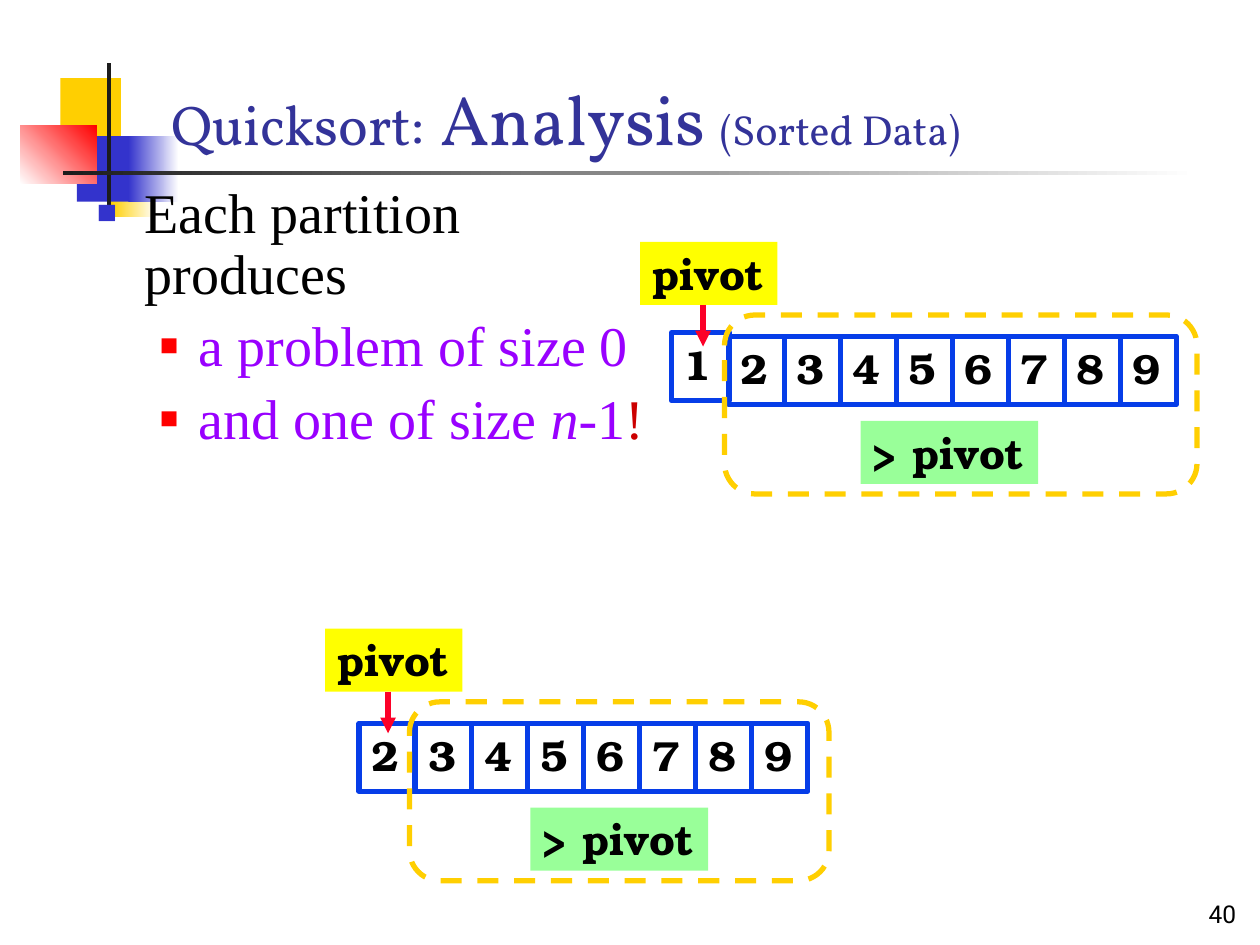
from lxml import etree
from pptx import Presentation
from pptx.dml.color import RGBColor
from pptx.enum.dml import MSO_LINE_DASH_STYLE as Dash
from pptx.enum.shapes import MSO_CONNECTOR as Connector, MSO_SHAPE as Shape
from pptx.enum.text import MSO_ANCHOR as Anchor, PP_ALIGN as Align
from pptx.oxml.ns import qn
from pptx.util import Inches, Pt

BLACK = RGBColor(0x00, 0x00, 0x00)
WHITE = RGBColor(0xFF, 0xFF, 0xFF)
CHARCOAL = RGBColor(0x1C, 0x1C, 0x1C)
GOLD = RGBColor(0xFF, 0xCF, 0x01)
INDIGO = RGBColor(0x33, 0x33, 0xCC)
RED = RGBColor(0xFF, 0x00, 0x00)
TITLE_BLUE = RGBColor(0x33, 0x33, 0x99)
PURPLE = RGBColor(0x99, 0x00, 0xFF)
DARK_RED = RGBColor(0xCC, 0x00, 0x00)
CELL_BLUE = RGBColor(0x06, 0x3D, 0xE8)
ARROW_RED = RGBColor(0xFC, 0x01, 0x28)
YELLOW = RGBColor(0xFF, 0xFF, 0x00)
GREEN = RGBColor(0x99, 0xFF, 0x99)

TITLE_FONT, BODY_FONT, ARRAY_FONT = "Vollkorn", "Times New Roman", "TeX Gyre Bonum"

# (left, top, width, height), colours from start to end, gradient angle
ORNAMENTS = [
    ((0.48, 0.62, 0.48, 0.52), [GOLD], 0),
    ((0.88, 1.2, 0.36, 0.52), [GOLD, WHITE], 0),
    ((0.61, 1.08, 0.46, 0.52), [INDIGO], 0),
    ((1.02, 1.08, 0.4, 0.52), [INDIGO, WHITE], 0),
    ((0.16, 1, 0.61, 0.46), [WHITE, RED], 45),
    ((0.85, 0.5, 0.03, 1.15), [CHARCOAL], 0),
    ((0.5, 1.36, 9, 0.03), [CHARCOAL, WHITE], 0),
]

TITLE = [("Quicksort:", 32), (" ", 44), ("Analysis ", 40), ("(Sorted Data)", 24)]

# level, runs of (text, colour, italic); \v breaks the line
BODY = [
    (0, [("Each partition\vproduces", BLACK, False)]),
    (1, [("a problem of size 0", PURPLE, False)]),
    (1, [("and one of size ", PURPLE, False), ("n-", PURPLE, True),
         ("1", PURPLE, False), ("!", DARK_RED, False)]),
]
# left margin, hanging indent, bullet colour, bullet size in percent
LEVELS = [(0.38, 0.38, INDIGO, 60), (0.81, 0.31, RED, 55)]

# Offsets are measured from the top left corner of the pivot label.
PANELS = [
    {"label": (5.08, 1.92), "pivot": "1", "pivot_cell": (0.25, 0.72, 0.46),
     "rest": "23456789", "rest_offset": 0.7, "frame_width": 3.75, "greater_offset": 1.75},
    {"label": (2.58, 4.99), "pivot": "2", "pivot_cell": (0.27, 0.75, 0.44),
     "rest": "3456789", "rest_offset": 0.72, "frame_width": 3.33, "greater_offset": 1.63},
]
CELL_PITCH = 4 / 9
CELL_HEIGHT = 0.54
LABEL_HEIGHT = 0.5
REST_TOP = 0.75


def add_box(slide, box, colours=(), angle=0, text="", line=None, kind=Shape.RECTANGLE, wrap=True):
    shape = slide.shapes.add_shape(kind, *map(Inches, box))
    shape.shadow.inherit = False
    if len(colours) == 2:
        shape.fill.gradient()
        shape.fill.gradient_angle = angle
        for stop, colour in zip(shape.fill.gradient_stops, colours):
            stop.color.rgb = colour
    elif colours:
        shape.fill.solid()
        shape.fill.fore_color.rgb = colours[0]
    else:
        shape.fill.background()
    if line is None:
        shape.line.fill.background()
    else:
        shape.line.color.rgb = line
        shape.line.width = Pt(3)
    if text:
        frame = shape.text_frame
        frame.text = text
        frame.word_wrap = wrap
        frame.vertical_anchor = Anchor.TOP
        frame.paragraphs[0].alignment = Align.LEFT
        style(frame.paragraphs[0].runs[0], ARRAY_FONT, 24, BLACK, bold=True)
    return shape


def style(run, name, size, colour, bold=False, italic=False):
    font = run.font
    font.name, font.size, font.bold, font.italic = name, Pt(size), bold, italic
    font.color.rgb = colour


def add_text_frame(slide, box, anchor):
    frame = slide.shapes.add_textbox(*map(Inches, box)).text_frame
    frame.word_wrap = True
    frame.vertical_anchor = anchor
    return frame


def set_bullet(paragraph, level):
    margin, hanging, colour, size = LEVELS[level]
    properties = paragraph._p.get_or_add_pPr()
    properties.set("marL", str(Inches(margin)))
    properties.set("indent", str(-Inches(hanging)))
    bullet_colour = etree.SubElement(properties, qn("a:buClr"))
    etree.SubElement(bullet_colour, qn("a:srgbClr"), val=str(colour))
    etree.SubElement(properties, qn("a:buSzPct"), val=str(size * 1000))
    etree.SubElement(properties, qn("a:buFont"), typeface=BODY_FONT)
    etree.SubElement(properties, qn("a:buChar"), char="■")


def add_body(slide):
    frame = add_text_frame(slide, (0.67, 1.42, 5.08, 4.75), Anchor.TOP)
    for index, (level, runs) in enumerate(BODY):
        paragraph = frame.add_paragraph() if index else frame.paragraphs[0]
        paragraph.level = level
        paragraph.line_spacing = 0.9
        paragraph.space_before = Pt(7)
        set_bullet(paragraph, level)
        for text, colour, italic in runs:
            for number, part in enumerate(text.split("\v")):
                if number:
                    paragraph.add_line_break()
                run = paragraph.add_run()
                run.text = part
                style(run, BODY_FONT, 32, colour, italic=italic)


def add_arrow(slide, x, top, bottom):
    arrow = slide.shapes.add_connector(Connector.STRAIGHT, *map(Inches, (x, top, x, bottom)))
    arrow.line.color.rgb = ARROW_RED
    arrow.line.width = Pt(3)
    etree.SubElement(arrow.line._get_or_add_ln(), qn("a:tailEnd"), type="triangle")
    etree.SubElement(arrow._element.spPr, qn("a:effectLst"))


def add_panel(slide, panel):
    """Draw one partition step: pivot cell, remaining cells and their labels."""
    left, top = panel["label"]
    dx, dy, width = panel["pivot_cell"]
    add_box(slide, (left + dx, top + dy, width, CELL_HEIGHT),
            text=panel["pivot"], line=CELL_BLUE, wrap=False)
    for column, value in enumerate(panel["rest"]):
        x = left + panel["rest_offset"] + column * CELL_PITCH
        add_box(slide, (x, top + REST_TOP, CELL_PITCH, CELL_HEIGHT), text=value, line=CELL_BLUE)
    frame = add_box(slide, (left + 0.67, top + 0.58, panel["frame_width"], 1.42),
                    line=GOLD, kind=Shape.ROUNDED_RECTANGLE)
    frame.adjustments[0] = 0.17
    frame.line.dash_style = Dash.DASH
    add_box(slide, (left + panel["greater_offset"], top + 1.42, 1.41, LABEL_HEIGHT),
            [GREEN], text="> pivot", wrap=False)
    add_box(slide, (left, top, 1.09, LABEL_HEIGHT), [YELLOW], text="pivot", wrap=False)
    add_arrow(slide, left + 0.5, top + LABEL_HEIGHT, top + 0.83)


def main():
    presentation = Presentation()
    presentation.slide_width, presentation.slide_height = Inches(10), Inches(7.5)
    slide = presentation.slides.add_slide(presentation.slide_layouts[6])

    for box, colours, angle in ORNAMENTS:
        add_box(slide, box, colours, angle)

    number = add_text_frame(slide, (7.83, 6.92, 2.08, 0.5), Anchor.BOTTOM).paragraphs[0]
    number.text = "40"
    number.alignment = Align.RIGHT
    style(number.runs[0], "Roboto", 14, BLACK)

    title = add_text_frame(slide, (1.26, 0.25, 8.52, 1.08), Anchor.BOTTOM).paragraphs[0]
    for text, size in TITLE:
        run = title.add_run()
        run.text = text
        style(run, TITLE_FONT, size, TITLE_BLUE)

    add_body(slide)
    for panel in PANELS:
        add_panel(slide, panel)
    presentation.save("out.pptx")


if __name__ == "__main__":
    main()
